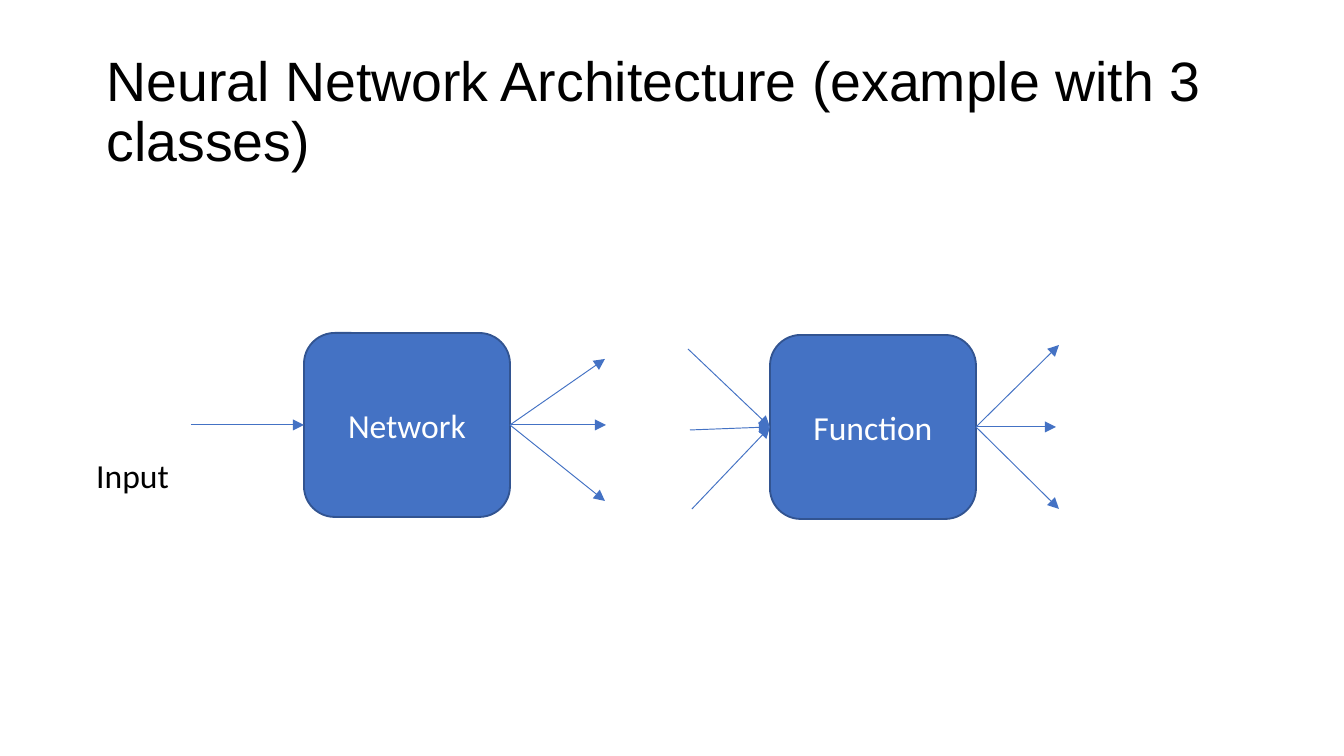
import pptx
import pptx.util
import pptx.dml.color
import pptx.enum.shapes
import pptx.enum.text
import pptx.oxml.ns
import lxml.etree

RGB = pptx.dml.color.RGBColor
ALIGN = pptx.enum.text.PP_ALIGN
ANCHOR = pptx.enum.text.MSO_ANCHOR
AUTOSIZE = pptx.enum.text.MSO_AUTO_SIZE

BLACK = RGB(0x00, 0x00, 0x00)
WHITE = RGB(0xFF, 0xFF, 0xFF)
BLUE = RGB(0x44, 0x72, 0xC4)
DARK_BLUE = RGB(0x32, 0x54, 0x91)

# Content: lengths in px
TITLE = "Neural Network Architecture (example with 3 classes)"
TITLE_BOX = (93, 40, 1159, 147)
INPUT = "Input"
INPUT_BOX = (83, 448, 101, 54)
BLOCK_W, BLOCK_H = 206, 184
LEFT_SIDE, RIGHT_SIDE = 1, 3
BLOCKS = [
    {"text": "Network", "at": (304, 333),
     "arrows_in": [(191, 425)],
     "arrows_out": [(605, 359), (606, 425), (605, 501)]},
    {"text": "Function", "at": (770, 335),
     "arrows_in": [(688, 349), (690, 430), (692, 509)],
     "arrows_out": [(1059, 345), (1056, 427), (1059, 509)]},
]
EMU_PER_PX = 914400 / 134.4


def px(*lengths):
    return [pptx.util.Emu(round(n * EMU_PER_PX)) for n in lengths]


def write(s, text, *, size=18, font="Calibri", color=BLACK, align=ALIGN.LEFT,
          anchor=ANCHOR.TOP, wrap=True, spacing=1.0, fit=AUTOSIZE.NONE):
    tf = s.text_frame
    tf.word_wrap = wrap
    tf.auto_size = fit
    tf.vertical_anchor = anchor
    p = tf.paragraphs[0]
    p.alignment = align
    p.line_spacing = spacing
    r = p.add_run()
    r.text = text
    r.font.size = pptx.util.Pt(size)
    r.font.name = font
    r.font.color.rgb = color


def add_arrow(shapes, start, end):
    c = shapes.add_connector(pptx.enum.shapes.MSO_CONNECTOR.STRAIGHT,
                             *px(*start, *end))
    c.line.color.rgb = BLUE
    c.line.width = pptx.util.Pt(0.5)
    qn = pptx.oxml.ns.qn
    lxml.etree.SubElement(c.line._get_or_add_ln(), qn("a:tailEnd"), type="triangle")
    lxml.etree.SubElement(c._element.spPr, qn("a:effectLst"))
    return c


def add_block(shapes, block):
    x, y = block["at"]
    s = shapes.add_shape(pptx.enum.shapes.MSO_SHAPE.ROUNDED_RECTANGLE,
                         *px(x, y, BLOCK_W, BLOCK_H))
    s.shadow.inherit = False
    s.fill.solid()
    s.fill.fore_color.rgb = BLUE
    s.line.color.rgb = DARK_BLUE
    s.line.width = pptx.util.Pt(1)
    write(s, block["text"], color=WHITE, align=ALIGN.CENTER, anchor=ANCHOR.MIDDLE)

    # Arrows meet the middle of the block's left and right sides
    middle = y + BLOCK_H / 2
    for start in block["arrows_in"]:
        add_arrow(shapes, start, (x, middle)).end_connect(s, LEFT_SIDE)
    for end in block["arrows_out"]:
        add_arrow(shapes, (x + BLOCK_W, middle), end).begin_connect(s, RIGHT_SIDE)


def main():
    prs = pptx.Presentation()
    prs.slide_width, prs.slide_height = px(1344, 756)
    slide = prs.slides.add_slide(prs.slide_layouts[5])
    shapes = slide.shapes

    # Title
    title = shapes.title
    title.left, title.top, title.width, title.height = px(*TITLE_BOX)
    write(title, TITLE, size=29.7, font="Arial", anchor=ANCHOR.MIDDLE, spacing=0.9)

    # Input label
    label = shapes.add_textbox(*px(*INPUT_BOX))
    write(label, INPUT, wrap=False, fit=AUTOSIZE.SHAPE_TO_FIT_TEXT)

    # Blocks with their arrows
    for block in BLOCKS:
        add_block(shapes, block)

    prs.save("out.pptx")


if __name__ == "__main__":
    main()
